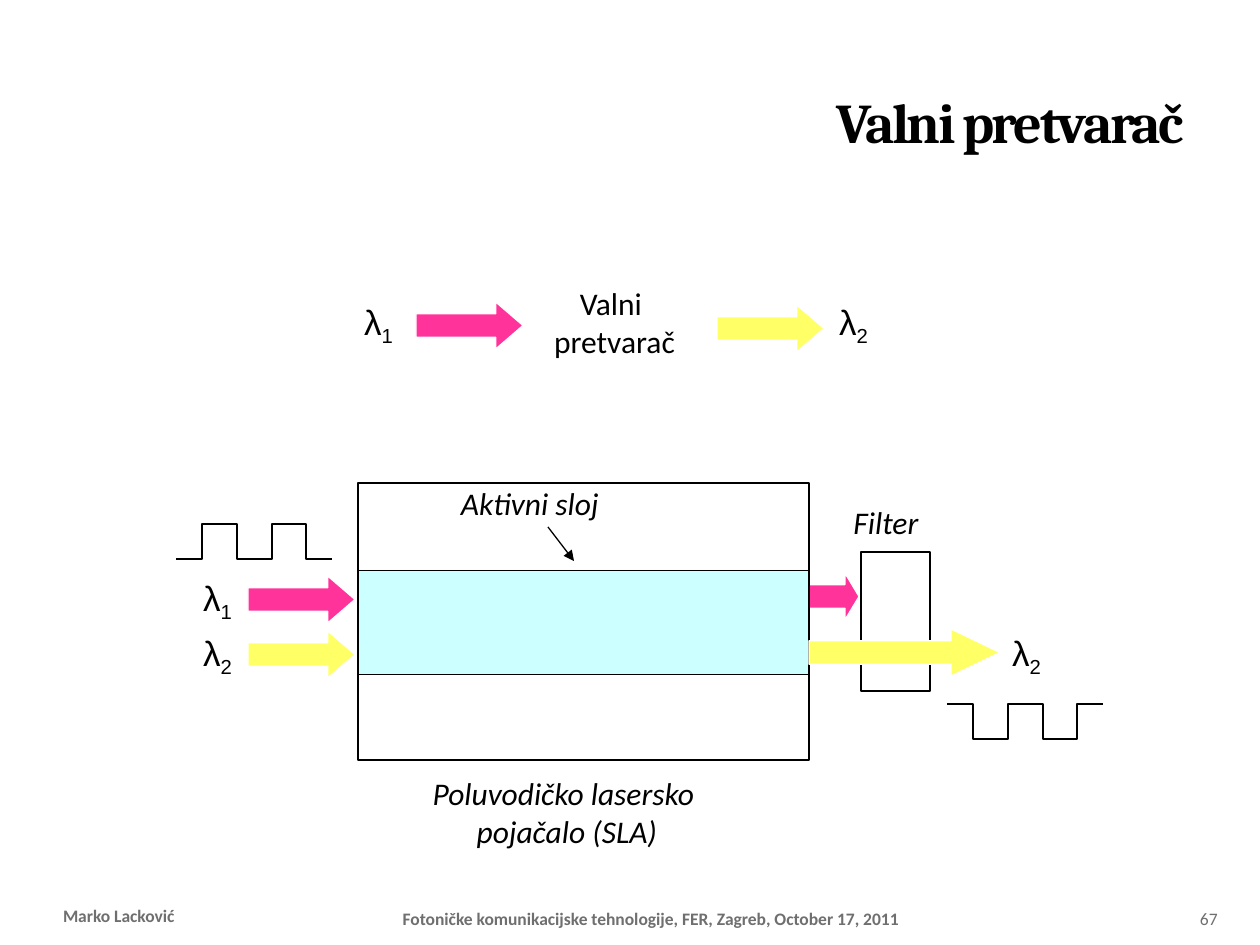
from dataclasses import dataclass
from typing import Optional

import pptx
import pptx.dml.color
import pptx.enum.shapes
import pptx.enum.text
import pptx.oxml.ns
import pptx.util
from lxml import etree

PX = 914400 / 126
COLORS = {
    "black": "000000",
    "white": "FFFFFF",
    "gray": "6F6F6F",
    "pink": "FF3399",
    "yellow": "FFFF66",
    "cyan": "CCFFFF",
}
RECT = pptx.enum.shapes.MSO_SHAPE.RECTANGLE
ARROW = pptx.enum.shapes.MSO_SHAPE.RIGHT_ARROW
LEFT = pptx.enum.text.PP_ALIGN.LEFT
CENTER = pptx.enum.text.PP_ALIGN.CENTER
RIGHT = pptx.enum.text.PP_ALIGN.RIGHT
TOP = pptx.enum.text.MSO_ANCHOR.TOP
MIDDLE = pptx.enum.text.MSO_ANCHOR.MIDDLE
BOTTOM = pptx.enum.text.MSO_ANCHOR.BOTTOM
DEFAULT_INSETS = (13, 6, 13, 6)
NO_INSETS = (0, 0, 0, 0)


@dataclass
class Box:
    x: int
    y: int
    w: int
    h: int
    fill: Optional[str]
    line: str = "black"
    weight: float = 1.38


@dataclass
class Arrow:
    x: int
    y: int
    fill: str
    w: int = 107
    head: float = 0.58


@dataclass
class Label:
    x: int
    y: int
    w: int
    h: int
    lines: tuple[str, ...]
    size: int = 18
    font: str = "Calibri"
    color: str = "black"
    bold: bool = False
    italic: bool = False
    align: pptx.enum.text.PP_ALIGN = CENTER
    anchor: pptx.enum.text.MSO_ANCHOR = TOP
    insets: tuple[int, ...] = NO_INSETS
    wrap: bool = False
    spacing: int = 0


@dataclass
class Wavelength:
    x: int
    y: int
    index: str


@dataclass
class Pulses:
    x: int
    base: int
    level: int


PARTS = [
    Arrow(805, 573, "pink", 54, 0.3),
    Box(358, 570, 451, 104, "cyan", weight=0.25),
    Box(358, 483, 451, 277, None),
    Box(861, 552, 69, 139, "white"),
    Arrow(248, 631, "yellow"),
    Arrow(248, 576, "pink"),
    Arrow(809, 629, "yellow", 191, 1.04),
    Box(523, 262, 194, 126, None, "white", 0.75),
    Arrow(416, 302, "pink"),
    Arrow(717, 305, "yellow"),
]
LABELS = [
    Label(199, 885, 903, 50,
          ("Fotoničke komunikacijske tehnologije, FER, Zagreb, October 17, 2011",),
          10, color="gray", bold=True, anchor=BOTTOM, insets=DEFAULT_INSETS, wrap=True),
    Label(63, 882, 147, 50, ("Marko Lacković",), 10, color="gray", bold=True,
          align=LEFT, anchor=BOTTOM, insets=(0, 6, 13, 6), wrap=True),
    Label(1187, 885, 63, 50, ("67",), 10, color="gray", align=LEFT,
          anchor=BOTTOM, insets=DEFAULT_INSETS, wrap=True),
    Label(63, 32, 1134, 179, ("Valni pretvarač",), 32, "Cambria", bold=True,
          align=RIGHT, anchor=MIDDLE, insets=DEFAULT_INSETS, wrap=True, spacing=-150),
    Label(431, 774, 272, 77, ("Poluvodičko lasersko ", "pojačalo (SLA)"), italic=True),
    Label(461, 484, 159, 38, ("Aktivni sloj",), italic=True, align=LEFT, wrap=True),
    Label(853, 503, 66, 38, ("Filter",), italic=True),
    Label(552, 284, 125, 77, ("Valni ", "pretvarač")),
]
WAVELENGTHS = [
    Wavelength(188, 570, "1"),
    Wavelength(188, 625, "2"),
    Wavelength(997, 625, "2"),
    Wavelength(349, 294, "1"),
    Wavelength(824, 294, "2"),
]
PULSES = [Pulses(176, 559, 524), Pulses(947, 704, 739)]
PULSE_EDGES = (26, 61, 96, 130)
PULSE_WIDTH = 156


def emu(*lengths: int) -> list[int]:
    return [round(n * PX) for n in lengths]


def rgb(name: str) -> pptx.dml.color.RGBColor:
    return pptx.dml.color.RGBColor.from_string(COLORS[name])


def style(sp, fill: Optional[str], line: str, weight: float) -> None:
    sp.shadow.inherit = False
    if fill:
        sp.fill.solid()
        sp.fill.fore_color.rgb = rgb(fill)
    else:
        sp.fill.background()
    sp.line.color.rgb = rgb(line)
    sp.line.width = pptx.util.Pt(weight)


def draw_box(s, box: Box) -> None:
    sp = s.shapes.add_shape(RECT, *emu(box.x, box.y, box.w, box.h))
    style(sp, box.fill, box.line, box.weight)


def draw_arrow(s, arrow: Arrow) -> None:
    sp = s.shapes.add_shape(ARROW, *emu(arrow.x, arrow.y, arrow.w, 47))
    sp.adjustments[0] = 0.5
    sp.adjustments[1] = arrow.head
    style(sp, arrow.fill, "white", 0.75)


def add_run(p, text: str, label: Label):
    r = p.add_run()
    r.text = text
    r.font.size = pptx.util.Pt(label.size)
    r.font.name = label.font
    r.font.bold = label.bold
    r.font.italic = label.italic
    r.font.color.rgb = rgb(label.color)
    if label.spacing:
        r._r.get_or_add_rPr().set("spc", str(label.spacing))
    return r


def draw_label(s, label: Label):
    """Draw a text box and return its last paragraph."""
    tf = s.shapes.add_textbox(*emu(label.x, label.y, label.w, label.h)).text_frame
    tf.word_wrap = label.wrap
    tf.vertical_anchor = label.anchor
    tf.margin_left, tf.margin_top, tf.margin_right, tf.margin_bottom = emu(*label.insets)
    for i, line in enumerate(label.lines):
        p = tf.add_paragraph() if i else tf.paragraphs[0]
        p.alignment = label.align
        add_run(p, line, label)
    return p


def draw_wavelength(s, wave: Wavelength) -> None:
    label = Label(wave.x, wave.y, 59, 54, ("λ",), 20, "Arial",
                  insets=DEFAULT_INSETS, wrap=True)
    r = add_run(draw_label(s, label), wave.index, label)
    r._r.get_or_add_rPr().set("baseline", "-25000")


def draw_pulses(s, pulses: Pulses) -> None:
    y, other = pulses.base, pulses.level
    builder = s.shapes.build_freeform(pulses.x, y, scale=PX)
    points = []
    for edge in PULSE_EDGES:
        points += [(pulses.x + edge, y), (pulses.x + edge, other)]
        y, other = other, y
    points.append((pulses.x + PULSE_WIDTH, y))
    builder.add_line_segments(points, close=False)
    style(builder.convert_to_shape(), None, "black", 0.75)


def draw_pointer(s, x1: int, y1: int, x2: int, y2: int) -> None:
    straight = pptx.enum.shapes.MSO_CONNECTOR.STRAIGHT
    sp = s.shapes.add_connector(straight, *emu(x1, y1, x2, y2))
    sp.line.color.rgb = rgb("black")
    sp.line.width = pptx.util.Pt(0.75)
    qn = pptx.oxml.ns.qn
    etree.SubElement(sp.line._get_or_add_ln(), qn("a:tailEnd"), type="triangle")
    etree.SubElement(sp._element.spPr, qn("a:effectLst"))


def main() -> None:
    prs = pptx.Presentation()
    prs.slide_width, prs.slide_height = emu(1260, 945)
    s = prs.slides.add_slide(prs.slide_layouts[6])
    for part in PARTS:
        if isinstance(part, Box):
            draw_box(s, part)
        else:
            draw_arrow(s, part)
    for label in LABELS:
        draw_label(s, label)
    for wave in WAVELENGTHS:
        draw_wavelength(s, wave)
    for pulses in PULSES:
        draw_pulses(s, pulses)
    draw_pointer(s, 548, 527, 574, 561)
    prs.save("out.pptx")


if __name__ == "__main__":
    main()
